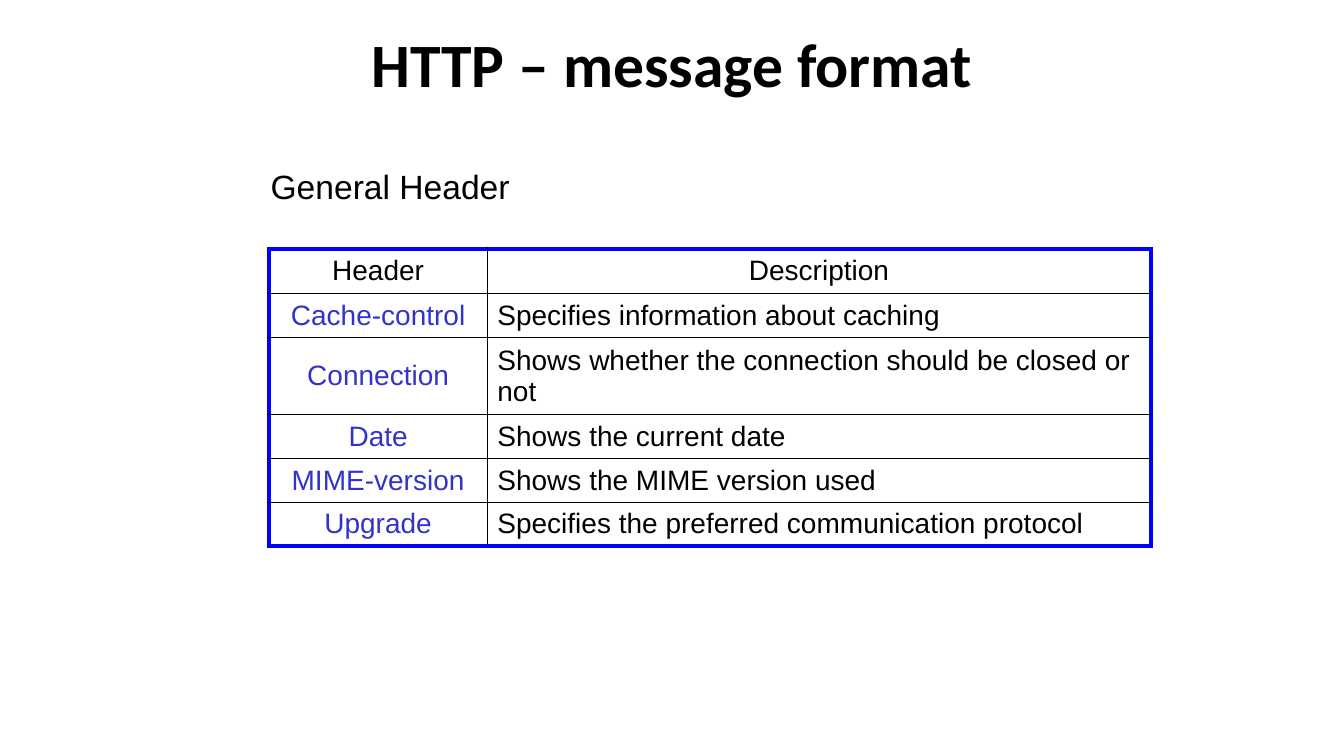
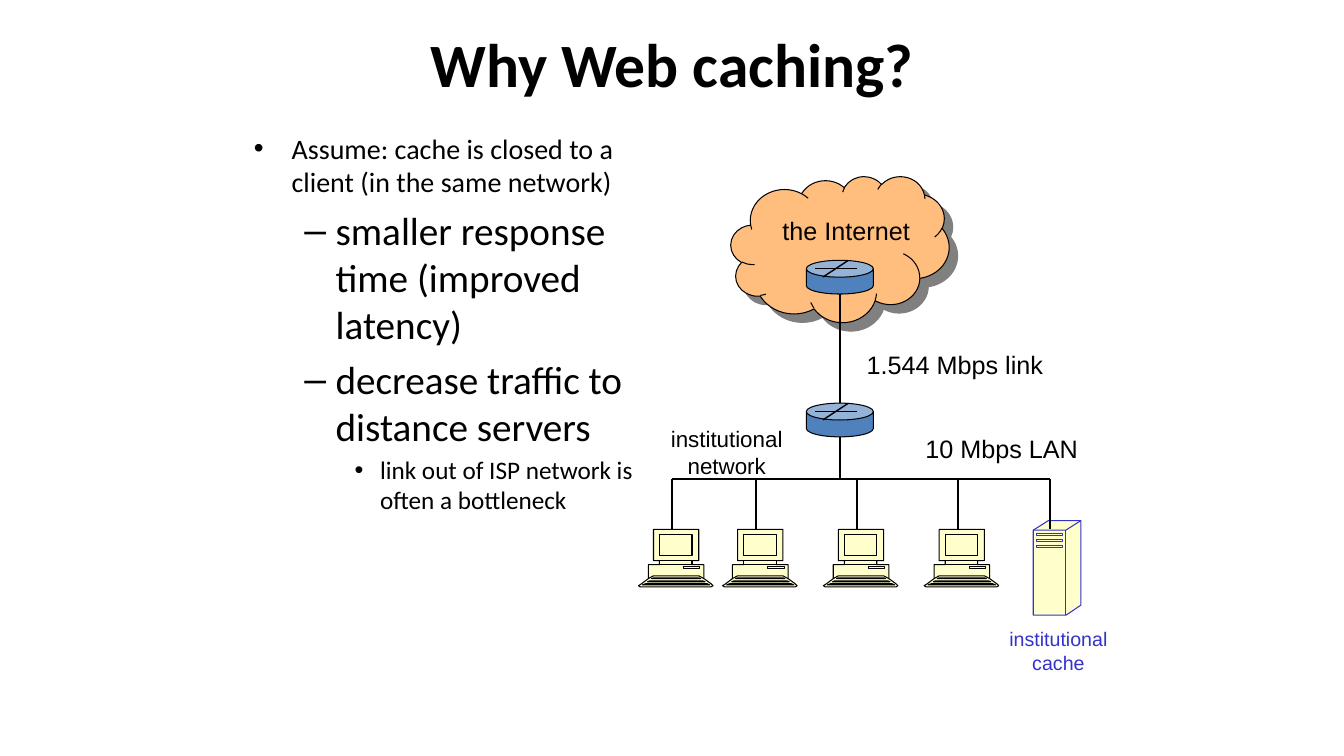
"""Build two slides on HTTP headers and Web caching."""
from dataclasses import dataclass

from lxml.etree import SubElement
from pptx import Presentation
from pptx.dml.color import RGBColor
from pptx.enum.shapes import MSO_CONNECTOR, MSO_SHAPE
from pptx.enum.text import MSO_ANCHOR, PP_ALIGN
from pptx.oxml.ns import qn
from pptx.util import Cm, Pt

COLORS = {
    "black": "000000", "note": "3333CC", "frame": "0000FF", "cloud": "FFBE7D",
    "shade": "808080", "cream": "FFFFCC", "router": "4F81BD",
}


@dataclass(frozen=True)
class Label:
    text: str
    left: float
    top: float
    width: float
    height: float
    size: int
    color: str = "black"
    align: PP_ALIGN = PP_ALIGN.LEFT


@dataclass(frozen=True)
class Bullet:
    text: str
    mark: str
    size: int
    margin: float
    hang: float
    level: int


@dataclass(frozen=True)
class Part:
    points: tuple
    closed: bool = True


@dataclass(frozen=True)
class Wire:
    start: tuple
    end: tuple
    weight: float = 1.5


def block(left: int, top: int, right: int, bottom: int) -> Part:
    return Part(((left, top), (right, top), (right, bottom), (left, bottom)))


HEADERS = (
    ("Header", "Description"),
    ("Cache-control", "Specifies information about caching"),
    ("Connection", "Shows whether the connection should be closed or not"),
    ("Date", "Shows the current date"),
    ("MIME-version", "Shows the MIME version used"),
    ("Upgrade", "Specifies the preferred communication protocol"),
)
WIDTHS = (5.5, 16.72)
HEIGHTS = (1.13, 1.1, 1.95, 1.1, 1.1, 1.1)

BULLETS = (
    Bullet("Assume: cache is closed to a client (in the same network)", "•", 20, 0.95, 0.95, 0),
    Bullet("smaller response time (improved latency)", "–", 28, 2.06, 0.79, 1),
    Bullet("decrease traffic to distance servers", "–", 28, 2.06, 0.79, 1),
    Bullet("link out of ISP network is often a bottleneck", "•", 18, 3.18, 0.64, 2),
)
LABELS = (
    Label("the Internet", 19.47, 5.29, 3.81, 1.02, 18),
    Label("10 Mbps LAN", 23.07, 10.8, 4.87, 1.02, 18),
    Label("1.544 Mbps link", 21.59, 8.68, 6.77, 1.02, 18),
    Label("institutional cache", 24.98, 15.68, 3.39, 1.45, 14, "note", PP_ALIGN.CENTER),
    Label("institutional network", 15.88, 10.58, 4.87, 1.63, 16, "black", PP_ALIGN.CENTER),
)

CLIENT = (
    Part((
        (183, 137), (165, 124), (165, 89), (135, 89), (135, 79), (152, 79),
        (152, 0), (38, 0), (38, 79), (53, 79), (53, 89), (25, 89),
        (25, 124), (8, 137), (0, 142), (5, 145), (183, 145), (188, 142),
    )),
    Part(((157, 124), (152, 122), (38, 122), (33, 124))),
    Part(((168, 132), (163, 130), (28, 130), (23, 132))),
    Part(((180, 140), (173, 137), (18, 137), (10, 140))),
    Part(((165, 124), (152, 117), (38, 117), (25, 124)), False),
    block(114, 94, 155, 99),
    block(53, 13, 135, 66),
    block(53, 79, 135, 89),
)
SERVER = (
    Part(((0, 24), (38, 0), (120, 0), (120, 213), (83, 238), (0, 238))),
    Part(((0, 24), (82, 24), (120, 0)), False),
    Part(((82, 24), (82, 238)), False),
    *(block(8, top, 74, top + 5) for top in range(33, 64, 15)),
)
CLIENTS = (16.09, 18.21, 20.75, 23.29)
DESK = 13.34
BUS = 12.06
HUB = 21.17
CACHE = 26.46
ROUTERS = (10.16, 6.56)
TALL = 0.85


def rgb(name: str) -> RGBColor:
    return RGBColor.from_string(COLORS[name])


def style(para, size: int, font: str, color: str = "black", bold: bool = False) -> None:
    for run in para.runs:
        run.font.size = Pt(size)
        run.font.name = font
        run.font.bold = bold
        run.font.color.rgb = rgb(color)


def paint(shape, fill: str, edge: str = "black") -> None:
    shape.shadow.inherit = False
    shape.fill.solid()
    shape.fill.fore_color.rgb = rgb(fill)
    shape.line.color.rgb = rgb(edge)
    shape.line.width = Pt(0.75)


def add_box(slide, left: float, top: float, width: float, height: float):
    frame = slide.shapes.add_textbox(Cm(left), Cm(top), Cm(width), Cm(height)).text_frame
    frame.word_wrap = True
    return frame


def add_title(slide, text: str) -> None:
    frame = add_box(slide, 5.51, 0, 22.86, 3.18)
    frame.vertical_anchor = MSO_ANCHOR.MIDDLE
    frame.text = text
    para = frame.paragraphs[0]
    para.alignment = PP_ALIGN.CENTER
    style(para, 44, "Calibri", bold=True)


def add_label(slide, label: Label) -> None:
    frame = add_box(slide, label.left, label.top, label.width, label.height)
    frame.text = label.text
    para = frame.paragraphs[0]
    para.alignment = label.align
    style(para, label.size, "Arial", label.color)


def add_list(slide, items: tuple) -> None:
    frame = add_box(slide, 6.15, 3.18, 10.16, 13.2)
    for i, item in enumerate(items):
        para = frame.add_paragraph() if i else frame.paragraphs[0]
        para.text = item.text
        para.level = item.level
        para.space_before = Pt(item.size * 0.2)
        style(para, item.size, "Calibri")
        props = para._p.get_or_add_pPr()
        props.set("marL", str(Cm(item.margin)))
        props.set("indent", str(-Cm(item.hang)))
        SubElement(props, qn("a:buFont"), typeface="Arial")
        SubElement(props, qn("a:buChar"), char=item.mark)


def add_edge(cell, side: str, outer: bool) -> None:
    props = cell._tc.get_or_add_tcPr()
    line = SubElement(props, qn(f"a:ln{side}"), w=str(Pt(3 if outer else 1)))
    fill = SubElement(line, qn("a:solidFill"))
    SubElement(fill, qn("a:srgbClr"), val=COLORS["frame" if outer else "black"])


def add_grid(slide, rows: tuple) -> None:
    table = slide.shapes.add_table(
        len(rows), len(WIDTHS), Cm(6.78), Cm(6.27), Cm(sum(WIDTHS)), Cm(sum(HEIGHTS))
    ).table
    table.first_row = table.horz_banding = False
    for col, width in zip(table.columns, WIDTHS):
        col.width = Cm(width)
    for r, texts in enumerate(rows):
        table.rows[r].height = Cm(HEIGHTS[r])
        for c, text in enumerate(texts):
            cell = table.cell(r, c)
            cell.text = text
            cell.vertical_anchor = MSO_ANCHOR.MIDDLE
            para = cell.text_frame.paragraphs[0]
            para.alignment = PP_ALIGN.LEFT if r and c else PP_ALIGN.CENTER
            style(para, 20, "Arial", "note" if r and not c else "black")
            add_edge(cell, "L", c == 0)
            add_edge(cell, "R", c == len(texts) - 1)
            add_edge(cell, "T", r == 0)
            add_edge(cell, "B", r == len(rows) - 1)
            cell.fill.background()


def split(shape, parts: tuple) -> None:
    whole = shape._element.spPr.find(".//" + qn("a:path"))
    shapes = whole.getparent()
    steps = list(whole)
    size = {"w": whole.get("w"), "h": whole.get("h")}
    shapes.remove(whole)
    todo = iter(parts)
    for step in steps:
        if step.tag == qn("a:moveTo"):
            trace = SubElement(shapes, qn("a:path"), **size)
            if not next(todo).closed:
                trace.set("fill", "none")
        trace.append(step)


def add_icon(slide, parts: tuple, left: float, top: float, edge: str = "black") -> None:
    pen = slide.shapes.build_freeform(*parts[0].points[0], scale=Cm(0.01))
    for i, part in enumerate(parts):
        first, *rest = part.points
        if i:
            pen.move_to(*first)
        pen.add_line_segments(rest, close=part.closed)
    shape = pen.convert_to_shape(Cm(left), Cm(top))
    split(shape, parts)
    paint(shape, "cream", edge)


def add_wire(slide, wire: Wire) -> None:
    ends = [Cm(n) for n in (*wire.start, *wire.end)]
    line = slide.shapes.add_connector(MSO_CONNECTOR.STRAIGHT, *ends)
    line.line.color.rgb = rgb("black")
    line.line.width = Pt(wire.weight)
    SubElement(line._element.spPr, qn("a:effectLst"))


def add_cloud(slide) -> None:
    cloud = slide.shapes.add_shape(MSO_SHAPE.CLOUD, Cm(18.42), Cm(4.44), Cm(5.5), Cm(3.68))
    paint(cloud, "cloud")
    effects = cloud._element.spPr.find(qn("a:effectLst"))
    shade = SubElement(
        effects, qn("a:outerShdw"), dist=str(Pt(8.5)), dir="2700000", algn="ctr", rotWithShape="0"
    )
    SubElement(shade, qn("a:srgbClr"), val=COLORS["shade"])


def add_router(slide, top: float) -> None:
    left = HUB - 0.85
    can = slide.shapes.add_shape(MSO_SHAPE.CAN, Cm(left), Cm(top), Cm(1.69), Cm(TALL))
    can.adjustments[0] = 0.5
    paint(can, "router")
    add_wire(slide, Wire((left + 1.06, top), (left + 0.42, top + 0.42), 1))
    add_wire(slide, Wire((left + 1.27, top + 0.21), (left + 0.21, top + 0.21), 1))


def add_network(slide) -> None:
    add_cloud(slide)
    for left in CLIENTS:
        add_icon(slide, CLIENT, left, DESK)
    add_icon(slide, SERVER, 26.04, 13.12, "note")
    drops = [left + 0.85 for left in CLIENTS] + [CACHE]
    near, far = ROUTERS
    wires = [Wire((drops[0], BUS), (CACHE, BUS))]
    wires += [Wire((x, BUS), (x, DESK)) for x in drops]
    wires += [Wire((HUB, BUS), (HUB, near + TALL)), Wire((HUB, near), (HUB, far + TALL))]
    for wire in wires:
        add_wire(slide, wire)
    for top in ROUTERS:
        add_router(slide, top)
    for label in LABELS:
        add_label(slide, label)


def main() -> None:
    deck = Presentation()
    deck.slide_width, deck.slide_height = Cm(33.87), Cm(19.05)
    blank = deck.slide_layouts[6]

    slide = deck.slides.add_slide(blank)
    add_title(slide, "HTTP – message format")
    add_grid(slide, HEADERS)
    add_label(slide, Label("General Header", 6.57, 4.06, 8.26, 1.27, 24))

    slide = deck.slides.add_slide(blank)
    add_title(slide, "Why Web caching?")
    add_list(slide, BULLETS)
    add_network(slide)

    deck.save("out.pptx")


if __name__ == "__main__":
    main()
